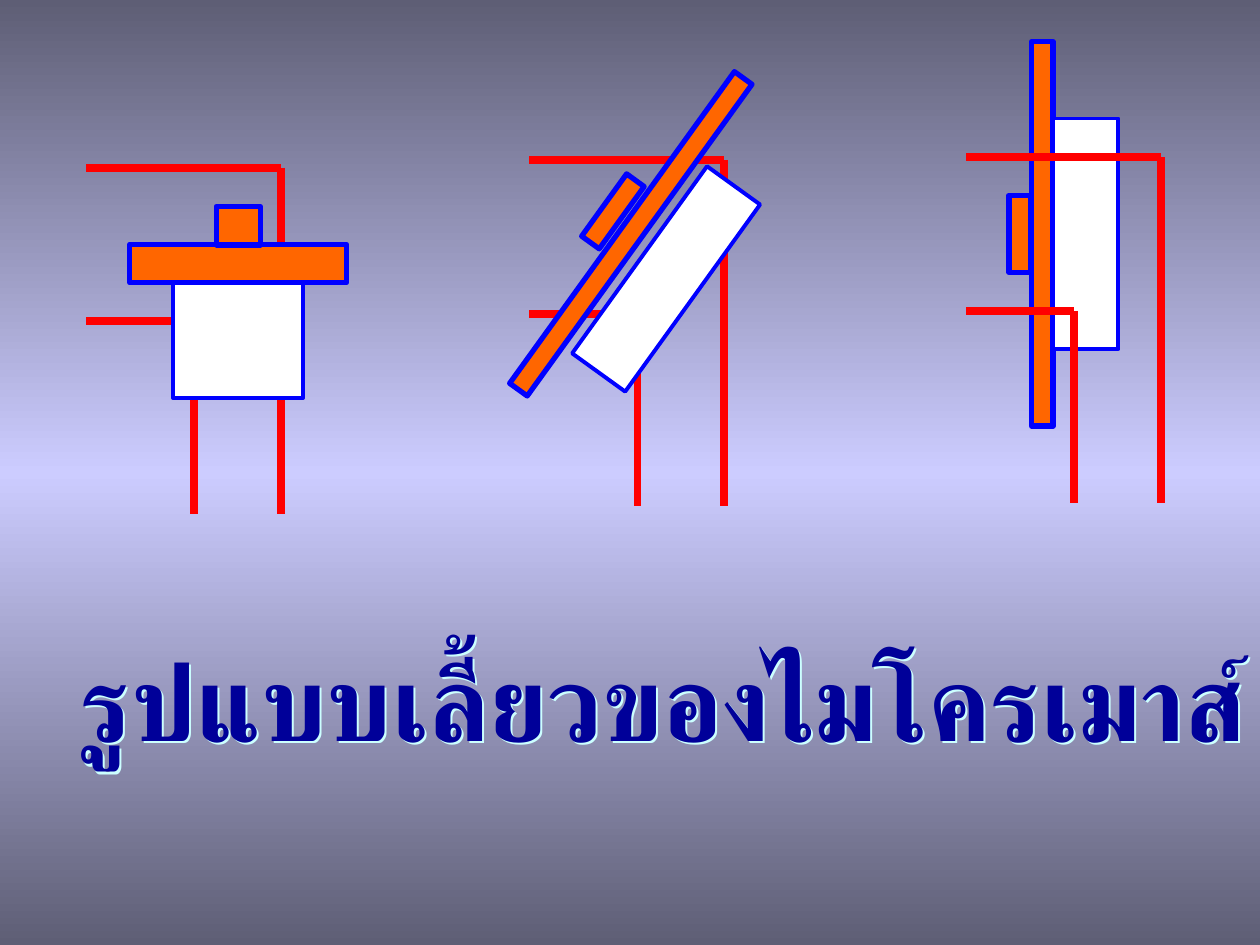
from copy import deepcopy
from typing import NamedTuple

from lxml import etree
from pptx import Presentation
from pptx.dml.color import RGBColor
from pptx.enum.shapes import MSO_CONNECTOR, MSO_SHAPE
from pptx.enum.text import MSO_AUTO_SIZE
from pptx.oxml.ns import qn
from pptx.shapes.group import GroupShape
from pptx.slide import Slide
from pptx.util import Pt

STRAIGHT = MSO_CONNECTOR.STRAIGHT
RECTANGLE = MSO_SHAPE.RECTANGLE
GROW = MSO_AUTO_SIZE.SHAPE_TO_FIT_TEXT

DUSK = RGBColor(0x5E, 0x5E, 0x75)
LAVENDER = RGBColor(0xCC, 0xCC, 0xFF)
RED = RGBColor(0xFF, 0x00, 0x00)
ORANGE = RGBColor(0xFF, 0x66, 0x00)
BLUE = RGBColor(0x00, 0x00, 0xFF)
WHITE = RGBColor(0xFF, 0xFF, 0xFF)
PALE_CYAN = RGBColor(0xCC, 0xFF, 0xFF)
NAVY = RGBColor(0x00, 0x00, 0x99)

FONT = "Roboto"
TITLE = "รูปแบบเลี้ยวของไมโครเมาส์"
TITLE_ECHO = 1.15
WALL_GAP_X, WALL_GAP_Y = 49.5, 87.8
WALL_RUN_LEFT, WALL_RUN_DOWN = 62, 110


class Track(NamedTuple):
    corner_x: float
    corner_y: float


class Block(NamedTuple):
    center_x: float
    center_y: float
    width: float
    height: float
    fill: RGBColor
    outline: float


class Mouse(NamedTuple):
    angle: float
    blocks: list[Block]


def turning_mouse(angle: float, board: tuple[float, float],
                  sensor: tuple[float, float], chassis: tuple[float, float]) -> Mouse:
    return Mouse(angle, [
        Block(*board, 219.6, 12.4, ORANGE, 3),
        Block(*sensor, 43.9, 12.4, ORANGE, 3),
        Block(*chassis, 131.8, 37.4, WHITE, 2.25),
    ])


STRAIGHT_MOUSE = Mouse(0, [
    Block(136.1, 150.6, 123.8, 22, ORANGE, 3),
    Block(136.1, 129, 25.2, 22, ORANGE, 3),
    Block(136.1, 194.6, 74.2, 65.8, WHITE, 2.25),
])
LEANING_MOUSE = turning_mouse(305.8, (360.5, 133.6), (350.3, 120.8), (380.7, 159.4))
TURNED_MOUSE = turning_mouse(270, (595.6, 133.6), (582.7, 133.6), (620.4, 133.6))

SCENE = [
    Track(110.9, 183.6), STRAIGHT_MOUSE,
    Track(364.3, 179.2), LEANING_MOUSE,
    TURNED_MOUSE, Track(613.9, 177.6),
]


def draw_wall(group: GroupShape, start: tuple[float, float], end: tuple[float, float]) -> None:
    wall = group.shapes.add_connector(STRAIGHT, *(Pt(v) for v in start + end))
    wall.line.color.rgb = RED
    wall.line.width = Pt(4.5)
    etree.SubElement(wall._element.spPr, qn("a:effectLst"))


def draw_track(group: GroupShape, track: Track) -> None:
    inner = (track.corner_x, track.corner_y)
    outer = (track.corner_x + WALL_GAP_X, track.corner_y - WALL_GAP_Y)
    left, bottom = track.corner_x - WALL_RUN_LEFT, track.corner_y + WALL_RUN_DOWN
    for corner in (inner, outer):
        draw_wall(group, corner, (corner[0], bottom))
    for corner in (inner, outer):
        draw_wall(group, corner, (left, corner[1]))


def draw_mouse(group: GroupShape, mouse: Mouse) -> None:
    for block in mouse.blocks:
        body = group.shapes.add_shape(
            RECTANGLE,
            Pt(block.center_x - block.width / 2), Pt(block.center_y - block.height / 2),
            Pt(block.width), Pt(block.height))
        body.rotation = mouse.angle
        body.shadow.inherit = False
        body.fill.solid()
        body.fill.fore_color.rgb = block.fill
        body.line.color.rgb = BLUE
        body.line.width = Pt(block.outline)


def draw_title(slide: Slide, offset: float, color: RGBColor) -> None:
    title = slide.shapes.add_textbox(
        Pt(23.8 + offset), Pt(360 + offset), Pt(702), Pt(79.2))
    frame = title.text_frame
    frame.word_wrap = False
    frame.auto_size = GROW
    frame.margin_left = Pt(22.2)
    run = frame.paragraphs[0].add_run()
    run.text = TITLE
    run.font.name = FONT
    run.font.size = Pt(60)
    run.font.bold = True
    run.font.color.rgb = color
    etree.SubElement(run._r.get_or_add_rPr(), qn("a:cs"), typeface=FONT)


def paint_background(slide: Slide) -> None:
    fill = slide.background.fill
    fill.gradient()
    fill.gradient_angle = 270
    stop_list = slide.element.find(".//" + qn("a:gsLst"))
    stop_list.append(deepcopy(stop_list[-1]))
    for stop, position, color in zip(fill.gradient_stops, (0, 0.5, 1), (DUSK, LAVENDER, DUSK)):
        stop.position = position
        stop.color.rgb = color


def main() -> None:
    deck = Presentation()
    deck.slide_width, deck.slide_height = Pt(720), Pt(540)
    slide = deck.slides.add_slide(deck.slide_layouts[6])
    paint_background(slide)
    for item in SCENE:
        group = slide.shapes.add_group_shape()
        if isinstance(item, Track):
            draw_track(group, item)
        else:
            draw_mouse(group, item)
    draw_title(slide, TITLE_ECHO, PALE_CYAN)
    draw_title(slide, 0, NAVY)
    deck.save("out.pptx")


if __name__ == "__main__":
    main()
